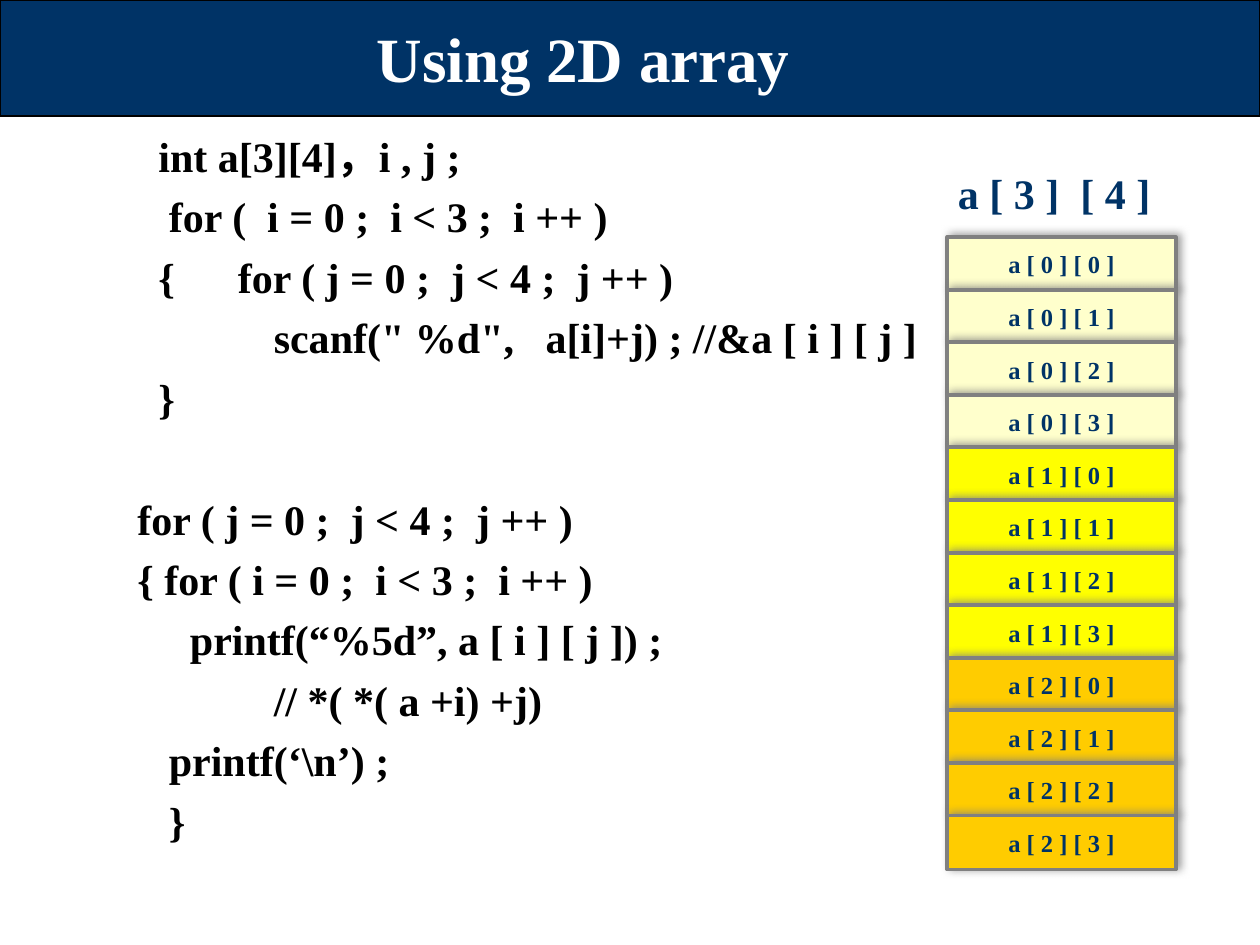
import pptx
import pptx.dml.color
import pptx.enum.shapes
import pptx.enum.text
import pptx.oxml
import pptx.oxml.ns
import pptx.util

Cm = pptx.util.Cm
Pt = pptx.util.Pt
ALIGN = pptx.enum.text.PP_ALIGN
ANCHOR = pptx.enum.text.MSO_ANCHOR
RECTANGLE = pptx.enum.shapes.MSO_SHAPE.RECTANGLE

NAVY = "003366"
GREY = "808080"
ROW_FILLS = ["FFFFCC", "FFFF00", "FFCC00"]
COLUMNS = 4
CELL_PITCH = 1.06
CELL_HEIGHT = 1.09

READ_LOOP = [
    "   int a[3][4]，i , j ;",
    "    for (  i = 0 ;  i < 3 ;  i ++ )",
    "   {      for ( j = 0 ;  j < 4 ;  j ++ )",
    '              scanf(" %d",   a[i]+j) ; //&a [ i ] [ j ]',
    "   }",
]
PRINT_LOOP = [
    " for ( j = 0 ;  j < 4 ;  j ++ )",
    " { for ( i = 0 ;  i < 3 ;  i ++ )",
    "\tprintf(“%5d”, a [ i ] [ j ]) ;",
    "              // *( *( a +i) +j)",
    "    printf(‘\\n’) ;",
    "    }",
]


def rgb(value):
    return pptx.dml.color.RGBColor.from_string(value)


def write(frame, lines, size, color, align=ALIGN.LEFT, anchor=ANCHOR.MIDDLE, wrap=True):
    frame.text = "\n".join(lines)
    frame.word_wrap = wrap
    frame.vertical_anchor = anchor
    for paragraph in frame.paragraphs:
        paragraph.alignment = align
        for run in paragraph.runs:
            run.font.name = "Times New Roman"
            run.font.size = Pt(size)
            run.font.bold = True
            run.font.color.rgb = rgb(color)


def add_rectangle(shapes, left, top, width, height, fill, line, line_width):
    box = shapes.add_shape(RECTANGLE, Cm(left), Cm(top), Cm(width), Cm(height))
    box.shadow.inherit = False
    box.fill.solid()
    box.fill.fore_color.rgb = rgb(fill)
    box.line.color.rgb = rgb(line)
    box.line.width = Pt(line_width)
    return box


def add_soft_shadow(box):
    effects = box._element.spPr.find(pptx.oxml.ns.qn("a:effectLst"))
    effects.append(pptx.oxml.parse_xml(
        f'<a:outerShdw {pptx.oxml.ns.nsdecls("a")} blurRad="{Pt(5)}" dist="{Pt(2.3)}" '
        f'dir="{335 * 60000}" algn="ctr" rotWithShape="0">'
        f'<a:srgbClr val="{GREY}"><a:alpha val="75000"/></a:srgbClr></a:outerShdw>'))


def add_header(slide, text):
    band = add_rectangle(slide.shapes, 0, 0, 25.4, 2.34, NAVY, "000000", 0.75)
    slide.shapes._spTree.insert(2, band._element)  # behind the title
    title = slide.shapes.title
    title.left, title.top, title.width, title.height = Cm(0.64), Cm(0.2), Cm(22.23), Cm(1.9)
    write(title.text_frame, [text], 36, "FFFFFF", ALIGN.CENTER)


def add_code(slide):
    frame = slide.shapes.add_textbox(Cm(2.31), Cm(2.3), Cm(21.2), Cm(16)).text_frame
    write(frame, READ_LOOP + PRINT_LOOP, 24, "000000", anchor=ANCHOR.TOP)
    for paragraph in frame.paragraphs:
        paragraph.line_spacing = 1.2
    frame.paragraphs[len(READ_LOOP)].space_before = Pt(34.5)


def add_array_row(slide, row, fill):
    """Stack the cells of one array row, in memory order, as a group."""
    group = slide.shapes.add_group_shape()
    for column in range(COLUMNS):
        top = 4.78 + (row * COLUMNS + column) * CELL_PITCH
        cell = add_rectangle(group.shapes, 19.1, top, 4.6, CELL_HEIGHT, fill, GREY, 2.25)
        add_soft_shadow(cell)
        write(cell.text_frame, [f"a [ {row} ] [ {column} ]"], 14, NAVY, ALIGN.CENTER, wrap=False)


def main():
    deck = pptx.Presentation()
    deck.slide_width, deck.slide_height = Cm(25.4), Cm(19.05)
    slide = deck.slides.add_slide(deck.slide_layouts[5])
    add_header(slide, "Using 2D array")
    add_code(slide)
    array_label = slide.shapes.add_textbox(Cm(19.05), Cm(3.25), Cm(4.4), Cm(1.27))
    write(array_label.text_frame, ["a [ 3 ]  [ 4 ]"], 24, NAVY, ALIGN.CENTER, wrap=False)
    for row, fill in enumerate(ROW_FILLS):
        add_array_row(slide, row, fill)
    deck.save("out.pptx")


if __name__ == "__main__":
    main()
